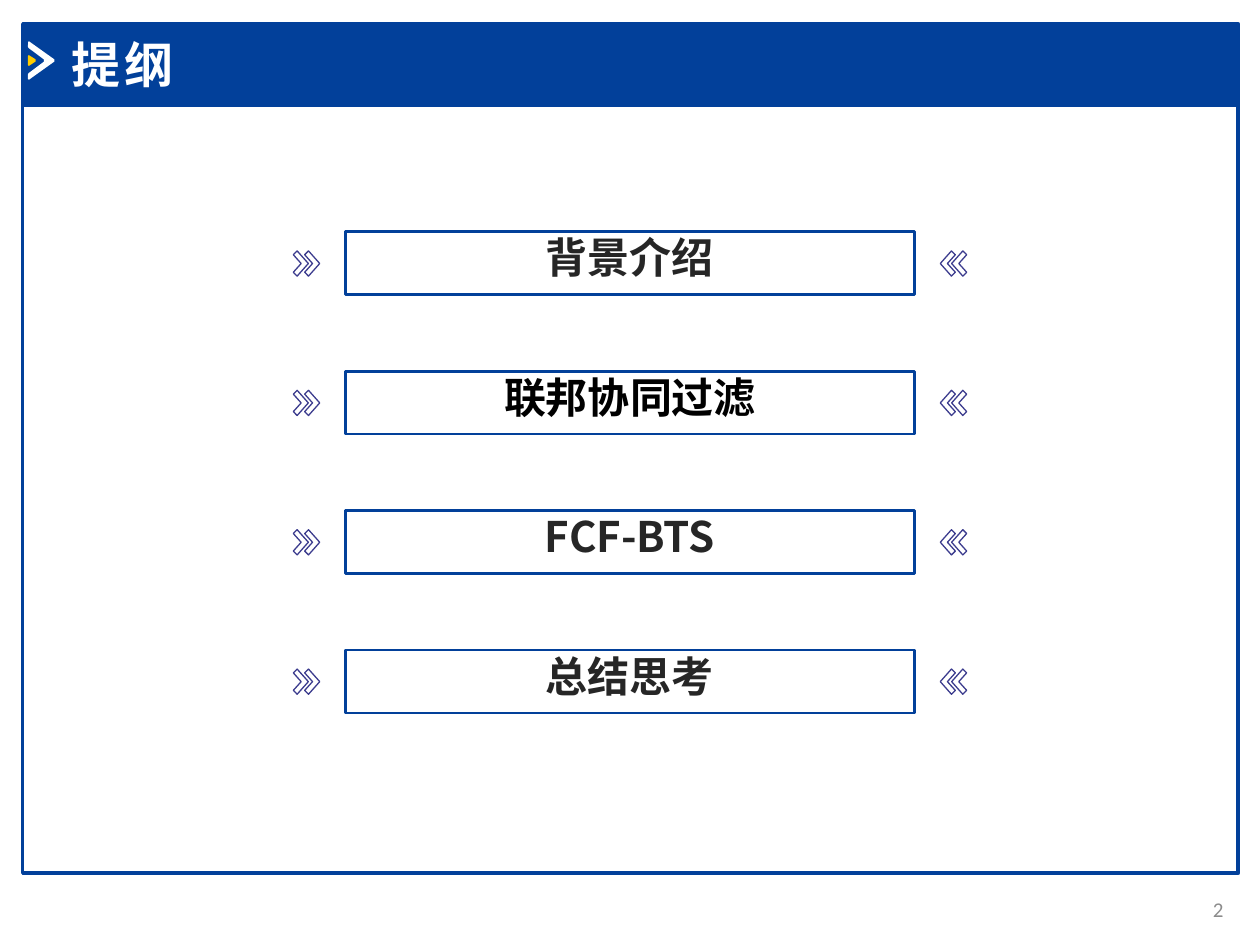
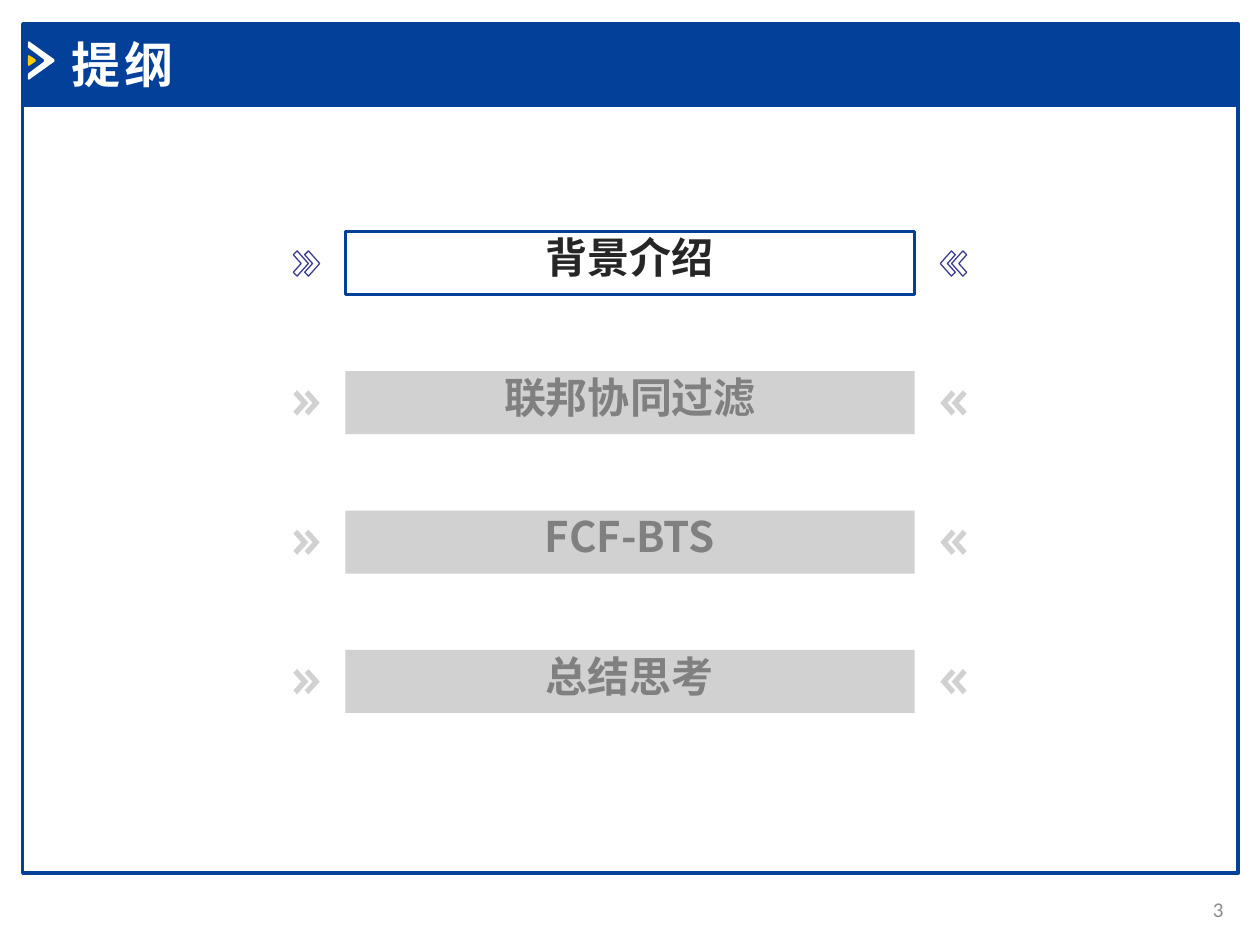
"""Build two agenda slides: the full outline and the one that marks its first topic."""
from dataclasses import dataclass

from lxml.etree import SubElement
from pptx import Presentation
from pptx.dml.color import RGBColor
from pptx.enum.shapes import MSO_SHAPE as Kind
from pptx.enum.text import MSO_ANCHOR as Anchor, MSO_AUTO_SIZE as Fit, PP_ALIGN as Align
from pptx.oxml.ns import qn
from pptx.util import Pt

WIDE, HIGH = 720, 540
BLUE, NAVY, GREY, WHITE, GOLD = "02409A", "3C3C8E", "A5A5A5", "FFFFFF", "FFCC00"
DARK, BLACK, DIM, PALE = "262626", "000000", "808080", "8C8C8C"
LATIN, HAN = "Calibri", "Noto Sans CJK SC"

ROW_TOP, ROW_STEP = 132.5, 79.65
BAR_LEFT, BAR_WIDE, BAR_HIGH = 197.3, 325.4, 36
MARK_LEFT, MARK_STEP, MARK_DROP = 167.6, 6.5, 10.9
MARK = [(2.2, 0), (0, 2.2), (4.5, 7.2), (0, 12.2), (2.2, 14.4), (8.6, 7.2)]

ARROW = [(16.2, 23.6), (15.9, 26.6), (16.3, 27.4), (25, 33.9), (25, 35.3), (16.3, 41.8),
         (15.9, 42.7), (15.9, 45.2), (16.6, 45.5), (31, 35.2), (31, 33.9), (16.6, 23.6)]
CORE = [(16.5, 31.5), (15.9, 32), (15.9, 37.2), (16.5, 37.7), (20.3, 35.2), (20.3, 33.9)]


@dataclass(frozen=True)
class Look:
    """Colours of an agenda row."""
    ink: str
    edge: str | None = None
    mark: str | None = None
    fill: str | None = None


@dataclass(frozen=True)
class Row:
    """One agenda topic and its look."""
    label: str
    look: Look


OPEN = Look(DARK, BLUE, NAVY)
BOLD = Look(BLACK, BLUE, NAVY)
SHUT = Look(DIM, fill=GREY)

TOPICS = ["背景介绍", "联邦协同过滤", "FCF-BTS", "总结思考"]
AGENDAS = [[OPEN, BOLD, OPEN, OPEN], [OPEN, SHUT, SHUT, SHUT]]


def color(code: str) -> RGBColor:
    """Turn a hex string into a colour."""
    return RGBColor.from_string(code)


def paint(shape, fill: str | None = None, edge: str | None = None,
          weight: float = 1, alpha: int = 100) -> None:
    """Set the fill, outline and opacity of a shape."""
    shape.shadow.inherit = False
    if fill:
        shape.fill.solid()
        shape.fill.fore_color.rgb = color(fill)
        if alpha < 100:
            tone = shape.element.spPr.find(".//" + qn("a:srgbClr"))
            SubElement(tone, qn("a:alpha")).set("val", str(alpha * 1000))
    else:
        shape.fill.background()
    if edge:
        shape.line.color.rgb = color(edge)
        shape.line.width = Pt(weight)
    else:
        shape.line.fill.background()


def box(slide, left: float, top: float, wide: float, high: float):
    """Add a rectangle."""
    return slide.shapes.add_shape(Kind.RECTANGLE, Pt(left), Pt(top), Pt(wide), Pt(high))


def outline(slide, dots: list[tuple[float, float]]):
    """Add a closed outline through the given points."""
    first, *rest = [(Pt(x), Pt(y)) for x, y in dots]
    pen = slide.shapes.build_freeform(*first)
    pen.add_line_segments(rest, close=True)
    return pen.convert_to_shape()


def write(shape, text: str, size: float, ink: str, align: Align, anchor: Anchor,
          face: str = LATIN, bold: bool = False):
    """Put one line of formatted text in a shape and return its run."""
    frame = shape.text_frame
    frame.text = text
    frame.word_wrap = True
    frame.auto_size = Fit.NONE
    frame.vertical_anchor = anchor
    line = frame.paragraphs[0]
    line.alignment = align
    run = line.runs[0]
    run.font.name, run.font.size, run.font.bold = face, Pt(size), bold
    run.font.color.rgb = color(ink)
    SubElement(run.font._element, qn("a:ea")).set("typeface", face)
    return run


def draw_frame(slide, title: str, page: int) -> None:
    """Draw the border, title band, title and page number."""
    paint(box(slide, 13, 60, 694.6, 439), edge=BLUE, weight=2)
    paint(box(slide, 13, 13.6, 694.6, 46.4), BLUE, BLUE, 2)
    paint(outline(slide, ARROW), WHITE)
    paint(outline(slide, CORE), GOLD)
    note = slide.shapes.add_textbox(Pt(663.8), Pt(505), Pt(42.5), Pt(28.8))
    write(note, str(page), 12, PALE, Align.RIGHT, Anchor.MIDDLE)
    head = slide.shapes.title
    head.left, head.top, head.width, head.height = Pt(33.8), Pt(15.9), Pt(256.3), Pt(41)
    run = write(head, title, 28, WHITE, Align.LEFT, Anchor.TOP, bold=True)
    run.font._element.set("spc", "200")
    head.element.getparent().append(head.element)


def draw_row(slide, row: Row, top: float) -> None:
    """Draw a topic bar with two marks on each side."""
    look = row.look
    bar = box(slide, BAR_LEFT, top, BAR_WIDE, BAR_HIGH)
    paint(bar, look.fill, look.edge, 1.5, 50)
    bar.text_frame.margin_top = bar.text_frame.margin_bottom = 0
    write(bar, row.label, 24, look.ink, Align.CENTER, Anchor.TOP, HAN, True)
    for step in range(2):
        left = MARK_LEFT + step * MARK_STEP
        dots = [(left + x, top + MARK_DROP + y) for x, y in MARK]
        for side in (dots, [(WIDE - x, y) for x, y in dots]):
            paint(outline(slide, side), look.fill, look.mark, 0.75, 50)


def main() -> None:
    """Build and save the deck."""
    deck = Presentation()
    deck.slide_width, deck.slide_height = Pt(WIDE), Pt(HIGH)
    for page, looks in enumerate(AGENDAS, start=2):
        slide = deck.slides.add_slide(deck.slide_layouts.get_by_name("Title Only"))
        draw_frame(slide, "提纲", page)
        for index, (label, look) in enumerate(zip(TOPICS, looks)):
            draw_row(slide, Row(label, look), ROW_TOP + index * ROW_STEP)
    deck.save("out.pptx")


if __name__ == "__main__":
    main()
